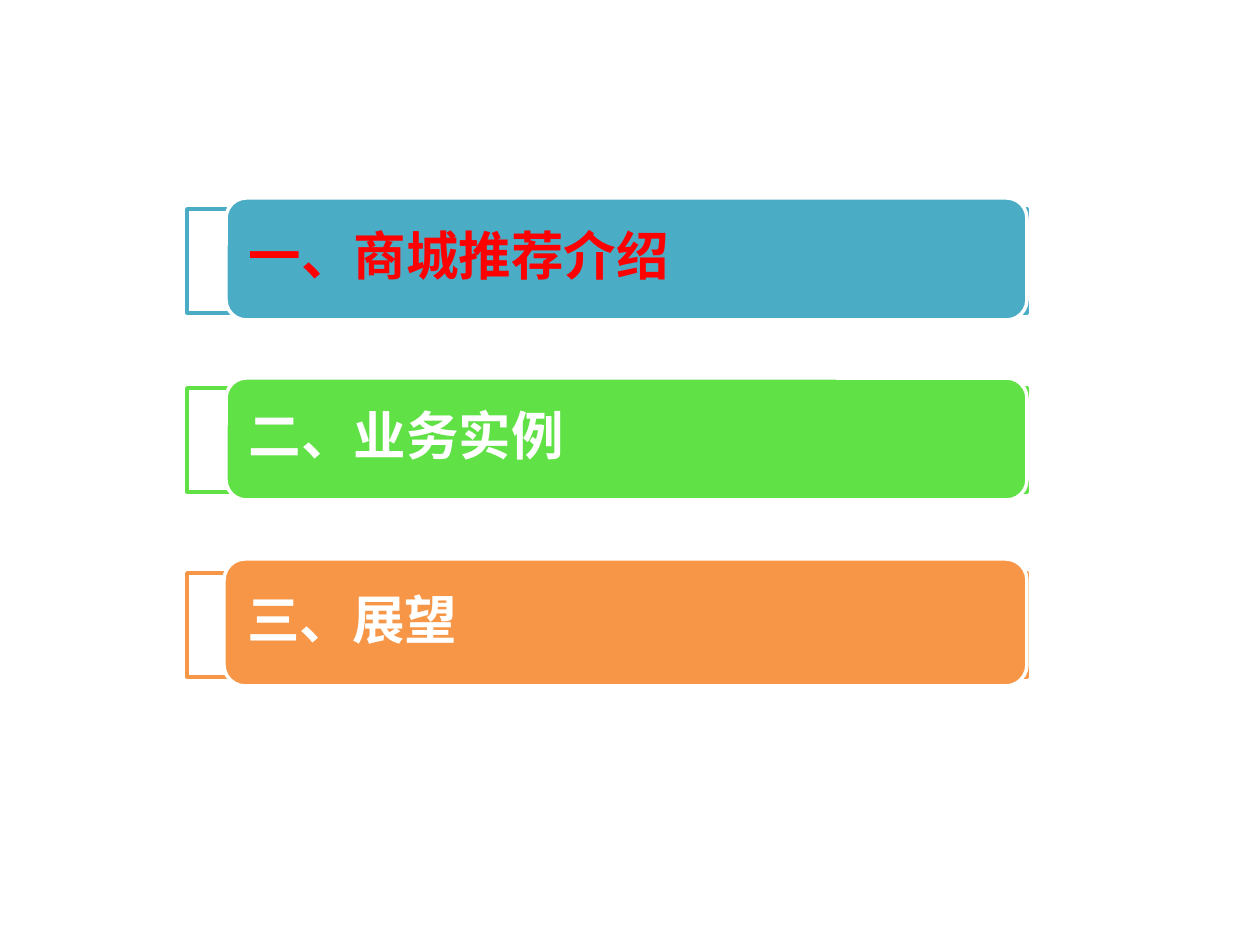
from lxml.etree import SubElement
from pptx import Presentation
from pptx.dml.color import RGBColor
from pptx.enum.shapes import MSO_SHAPE
from pptx.enum.text import MSO_ANCHOR, PP_ALIGN
from pptx.oxml.ns import qn
from pptx.util import Emu, Pt

PX = 914400 // 126
FONT = "Noto Sans CJK SC"
COLORS = {
    "white": "FFFFFF",
    "red": "FF0000",
    "blue": "4BACC6",
    "green": "60E146",
    "orange": "F79646",
}

# text, text colour, bar colour, frame top, bar (left, top, height)
SECTIONS = [
    ("一、商城推荐介绍", "red", "blue", 209, (226, 198, 122)),
    ("二、业务实例", "white", "green", 388, (226, 378, 122)),
    ("三、展望", "white", "orange", 573, (224, 559, 127)),
]
FRAME_LEFT, FRAME_HEIGHT, RIGHT = 187, 104, 1027
TEXT_INSET = 17


def px(value):
    return Emu(value * PX)


def color(name):
    return RGBColor.from_string(COLORS[name])


def add_box(slide, kind, left, top, height, fill, line):
    """Add a filled, outlined shape that reaches the common right edge."""
    shape = slide.shapes.add_shape(
        kind, px(left), px(top), px(RIGHT - left), px(height))
    shape.shadow.inherit = False
    shape.fill.solid()
    shape.fill.fore_color.rgb = color(fill)
    shape.line.color.rgb = color(line)
    shape.line.width = Pt(2)
    return shape


def make_translucent(shape, percent):
    rgb = shape.fill._xPr.find(qn("a:solidFill"))[0]
    SubElement(rgb, qn("a:alpha"), val=str(percent * 1000))


def write_label(shape, text, text_color):
    frame = shape.text_frame
    frame.text = text
    frame.word_wrap = True
    frame.vertical_anchor = MSO_ANCHOR.MIDDLE
    frame.margin_left = frame.margin_right = px(TEXT_INSET)
    frame.margin_top = frame.margin_bottom = 0
    paragraph = frame.paragraphs[0]
    paragraph.alignment = PP_ALIGN.LEFT
    paragraph.line_spacing = 0.9
    run = paragraph.runs[0]
    run.font.size = Pt(30)
    run.font.bold = True
    run.font.color.rgb = color(text_color)
    run.font.name = FONT
    SubElement(run.font._element, qn("a:ea"), typeface=FONT)


def main():
    presentation = Presentation()
    presentation.slide_width, presentation.slide_height = px(1260), px(945)
    slide = presentation.slides.add_slide(presentation.slide_layouts[6])
    for text, text_color, bar_color, frame_top, bar_place in SECTIONS:
        frame = add_box(slide, MSO_SHAPE.RECTANGLE, FRAME_LEFT, frame_top,
                        FRAME_HEIGHT, "white", bar_color)
        make_translucent(frame, 90)
        bar = add_box(slide, MSO_SHAPE.ROUNDED_RECTANGLE, *bar_place,
                      bar_color, "white")
        write_label(bar, text, text_color)
    presentation.save("out.pptx")


if __name__ == "__main__":
    main()
